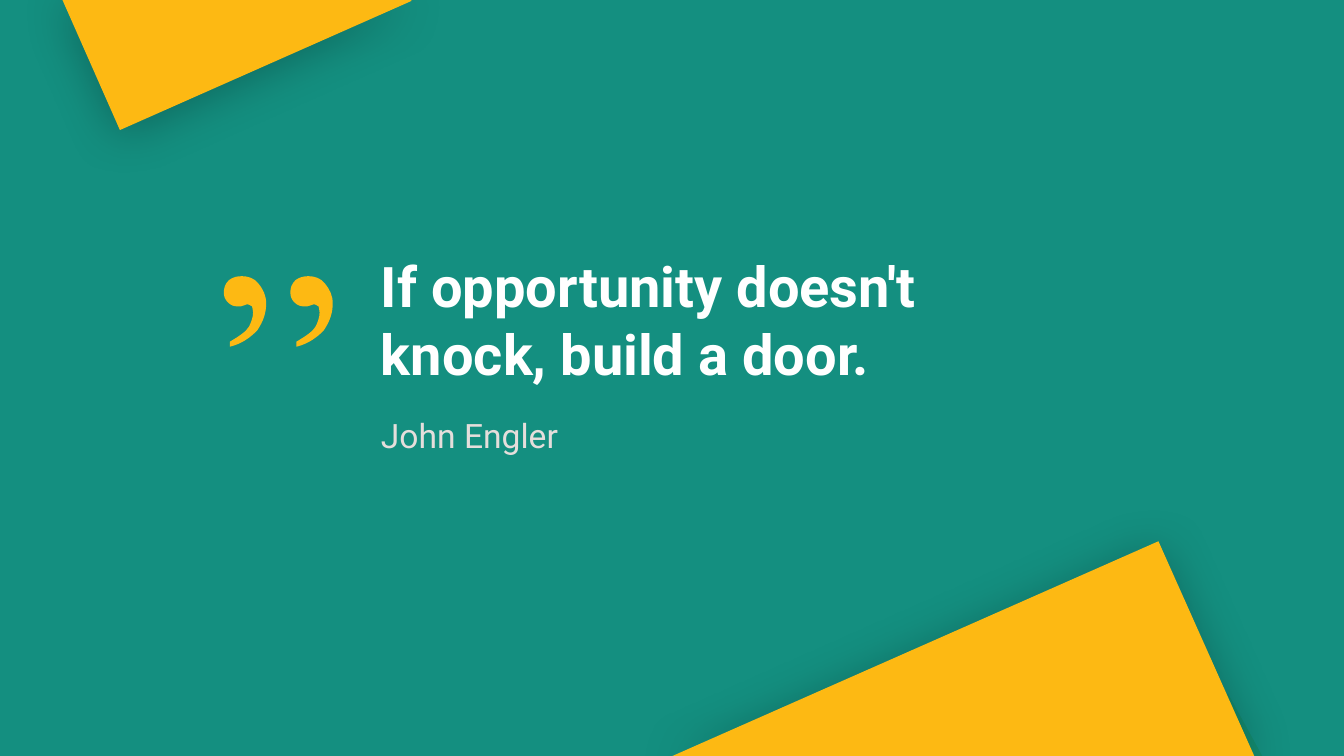
from lxml import etree
from pptx import Presentation
from pptx.dml.color import RGBColor
from pptx.enum import shapes, text
from pptx.oxml.ns import qn
from pptx.util import Inches, Pt

TEAL, YELLOW, WHITE, GREY = "008676", "FDB913", "FFFFFF", "E5DEDB"
SLIDE_SIZE = (13.33, 7.5)
TEAL_OPACITY = 92
SHADOW = {"opacity": 25, "blur": 34, "distance": 4, "angle": 90}

# wording, (left, top, width, height), size, colour, bold
TEXTS = [
    ("John Engler", (3.68, 4.07, 2.75, 0.5), 24, GREY, False),
    ("If opportunity doesn't knock, build a door.",
     (3.68, 2.45, 6.19, 1.45), 40, WHITE, True),
]
BACK_CORNERS = [
    [(12.18, 6.88), (10.42, 7.5), (12.52, 7.5)],
    [(1.11, 0.62), (2.5, 0.01), (2.5, 0), (0.83, 0)],
]
FRONT_CORNERS = [
    [(1.19, 1.29), (4.08, 0.01), (4.08, 0), (0.62, 0)],
    [(11.49, 5.37), (6.67, 7.5), (12.44, 7.5)],
]
# One quote mark: its tip, then Bézier curves as two handles and an end point
QUOTE_MARK = [
    (2.28, 3.44),
    (2.28, 3.39), (2.28, 3.39), (2.28, 3.39),
    (2.38, 3.33), (2.44, 3.29), (2.47, 3.24),
    (2.49, 3.2), (2.51, 3.15), (2.51, 3.1),
    (2.51, 3.07), (2.5, 3.05), (2.5, 3.04),
    (2.48, 3.03), (2.47, 3.02), (2.46, 3.02),
    (2.45, 3.02), (2.44, 3.02), (2.42, 3.03),
    (2.4, 3.04), (2.38, 3.04), (2.36, 3.04),
    (2.32, 3.04), (2.29, 3.03), (2.26, 3),
    (2.23, 2.97), (2.22, 2.94), (2.22, 2.9),
    (2.22, 2.86), (2.23, 2.82), (2.27, 2.78),
    (2.31, 2.75), (2.35, 2.74), (2.4, 2.74),
    (2.46, 2.74), (2.52, 2.76), (2.56, 2.81),
    (2.61, 2.87), (2.64, 2.93), (2.64, 3.01),
    (2.64, 3.11), (2.61, 3.19), (2.55, 3.28),
    (2.48, 3.35), (2.4, 3.41), (2.28, 3.44),
]
MARK_STEP = 0.66


def color(value):
    return RGBColor.from_string(value)


def paint(shape, fill):
    shape.shadow.inherit = False
    shape.fill.solid()
    shape.fill.fore_color.rgb = color(fill)
    shape.line.fill.background()


def set_opacity(color_element, percent):
    etree.SubElement(color_element, qn("a:alpha"), val=str(percent * 1000))


def add_soft_shadow(shape):
    effects = shape._element.spPr.find(qn("a:effectLst"))
    shadow = etree.SubElement(
        effects, qn("a:outerShdw"), blurRad=str(Pt(SHADOW["blur"])),
        dist=str(Pt(SHADOW["distance"])), dir=str(SHADOW["angle"] * 60000),
        algn="t", rotWithShape="0")
    black = etree.SubElement(shadow, qn("a:srgbClr"), val="000000")
    set_opacity(black, SHADOW["opacity"])


def add_outline(slide, *contours):
    """Draw closed contours, given in inches, as one yellow shape."""
    scaled = [[(Inches(x), Inches(y)) for x, y in contour] for contour in contours]
    builder = slide.shapes.build_freeform(*scaled[0][0])
    for number, contour in enumerate(scaled):
        if number:
            builder.move_to(*contour[0])
        builder.add_line_segments(contour[1:], close=False)
        builder.add_line_segments([], close=True)
    shape = builder.convert_to_shape()
    paint(shape, YELLOW)
    return shape


def bend(shape):
    """Join every three straight segments into one Bézier curve."""
    segments = list(shape._element.iter(qn("a:lnTo")))
    for first, second, end in zip(segments[::3], segments[1::3], segments[2::3]):
        curve = etree.Element(qn("a:cubicBezTo"))
        first.addprevious(curve)
        for segment in (first, second, end):
            curve.append(segment[0])
            segment.getparent().remove(segment)


def add_text(slide, wording, box, size, font_color, bold):
    frame = slide.shapes.add_textbox(*map(Inches, box)).text_frame
    frame.word_wrap = True
    frame.auto_size = text.MSO_AUTO_SIZE.SHAPE_TO_FIT_TEXT
    paragraph = frame.paragraphs[0]
    paragraph.text = wording
    font = paragraph.font
    font.name, font.size, font.bold = "Roboto", Pt(size), bold
    font.color.rgb = color(font_color)


def main():
    presentation = Presentation()
    presentation.slide_width, presentation.slide_height = map(Inches, SLIDE_SIZE)
    slide = presentation.slides.add_slide(presentation.slide_layouts[6])

    for corner in BACK_CORNERS:
        add_outline(slide, corner)
    backdrop = slide.shapes.add_shape(
        shapes.MSO_SHAPE.RECTANGLE, 0, 0, *map(Inches, SLIDE_SIZE))
    paint(backdrop, TEAL)
    set_opacity(backdrop._element.spPr.find(qn("a:solidFill"))[0], TEAL_OPACITY)

    for entry in TEXTS:
        add_text(slide, *entry)

    second_mark = [(x + MARK_STEP, y) for x, y in QUOTE_MARK]
    bend(add_outline(slide, QUOTE_MARK, second_mark))
    for corner in FRONT_CORNERS:
        add_soft_shadow(add_outline(slide, corner))

    presentation.save("out.pptx")


if __name__ == "__main__":
    main()
